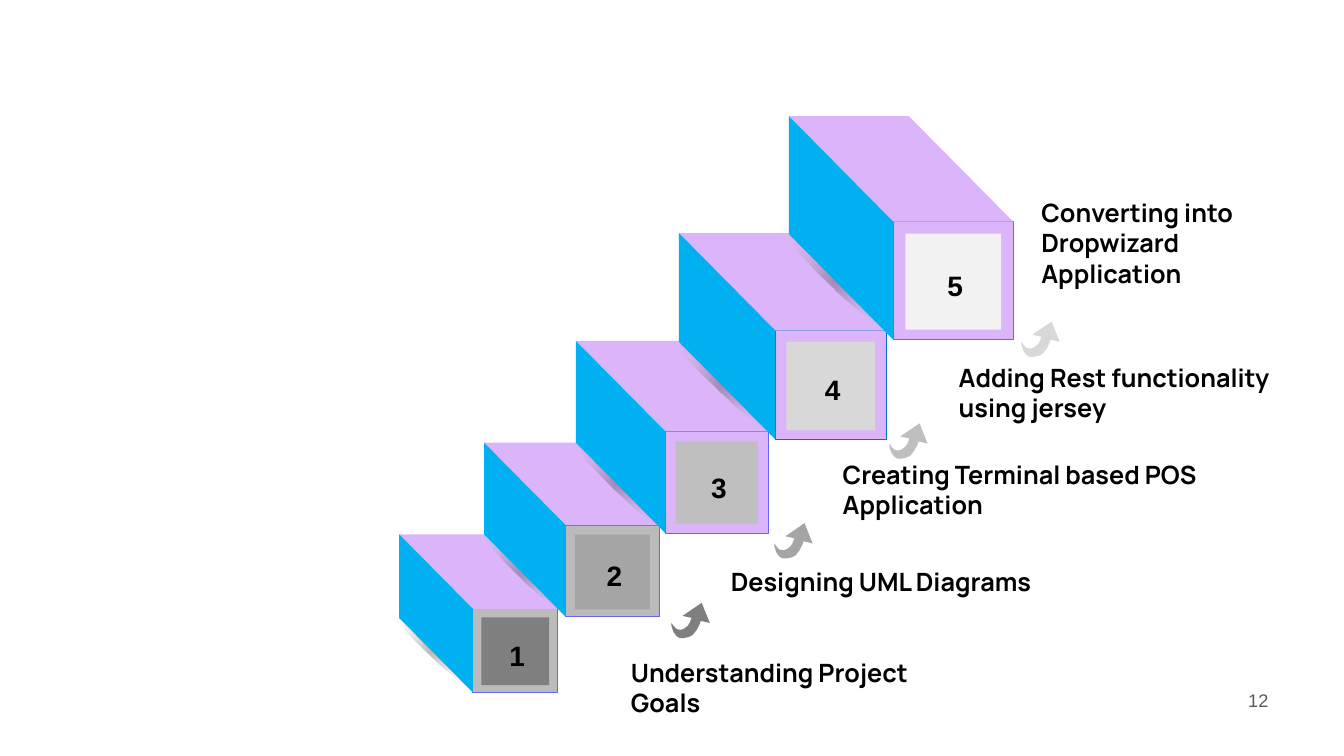
from dataclasses import dataclass

from lxml import etree
from pptx import Presentation
from pptx.dml.color import RGBColor
from pptx.enum import shapes, text
from pptx.oxml import parse_xml
from pptx.oxml.ns import nsdecls, qn
from pptx.util import Inches, Pt


@dataclass(frozen=True)
class Theme:
    top: str = "DCB4FA"
    side: str = "00B0F0"
    grey: str = "BBBBBB"
    edge: str = "6464FF"
    edge_dark: str = "0070C0"
    ink: str = "000000"
    muted: str = "595959"
    label_font: str = "Manrope"
    number_font: str = "Arial"
    label_size: int = 18
    number_size: int = 20
    page_size: int = 13


T = Theme()

# number, front left, top, width, height, front colour, edge colour, panel colour
STEPS = [
    ("1", 4.69, 6.04, 0.84, 0.83, T.grey, T.edge, "7F7F7F"),
    ("2", 5.61, 5.21, 0.93, 0.91, T.grey, T.edge, "A5A5A5"),
    ("3", 6.60, 4.28, 1.02, 1.01, T.top, T.edge, "BFBFBF"),
    ("4", 7.69, 3.28, 1.10, 1.08, T.top, T.edge_dark, "D8D8D8"),
    ("5", 8.86, 2.20, 1.19, 1.17, T.top, T.edge, "F2F2F2"),
]

# Each arrow takes the panel colour of the step it leaves
ARROWS = [(6.66, 5.98), (7.68, 5.19), (8.82, 4.20), (10.13, 3.19)]
ARROW_OUTLINE = [
    (0.30, 0), (0.38, 0.20), (0.29, 0.18), (0.28, 0.21), (0.25, 0.27),
    (0.21, 0.32), (0.17, 0.34), (0.12, 0.35), (0.08, 0.35), (0.05, 0.33),
    (0.02, 0.29), (0, 0.23), (0, 0.20), (0.02, 0.23), (0.05, 0.26),
    (0.09, 0.27), (0.12, 0.26), (0.16, 0.23), (0.18, 0.20), (0.20, 0.15),
    (0.11, 0.13),
]

LABELS = [
    ("Understanding Project Goals", 6.16, 6.47, 3.68, 0.71),
    ("Designing UML Diagrams", 7.15, 5.57, 3.57, 0.40),
    ("Creating Terminal based POS Application", 8.26, 4.51, 4.32, 1.01),
    ("Adding Rest functionality using jersey", 9.41, 3.54, 3.68, 1.01),
    ("Converting into Dropwizard Application", 10.23, 1.91, 2.59, 1.01),
]

SHADOW_FILL = f"""<a:gradFill {nsdecls('a')} rotWithShape="1"><a:gsLst>
<a:gs pos="0"><a:srgbClr val="474747"><a:alpha val="40000"/></a:srgbClr></a:gs>
<a:gs pos="100000"><a:srgbClr val="FFFFFF"><a:alpha val="0"/></a:srgbClr></a:gs>
</a:gsLst><a:path path="circle">
<a:fillToRect l="50000" t="50000" r="50000" b="50000"/></a:path></a:gradFill>"""


class StairSlide:
    def __init__(self, slide, theme):
        self.s = slide
        self.theme = theme

    def paint(self, sp, fill, line=None):
        sp.shadow.inherit = False
        sp.fill.solid()
        sp.fill.fore_color.rgb = RGBColor.from_string(fill)
        if line:
            sp.line.color.rgb = RGBColor.from_string(line)
            sp.line.width = Pt(0.75)
        else:
            sp.line.fill.background()
        return sp

    def shape(self, kind, x, y, w, h, fill, line=None):
        sp = self.s.shapes.add_shape(kind, Inches(x), Inches(y), Inches(w), Inches(h))
        return self.paint(sp, fill, line)

    def rect(self, *args):
        return self.shape(shapes.MSO_SHAPE.RECTANGLE, *args)

    def polygon(self, points, fill):
        start, *rest = [(Inches(x), Inches(y)) for x, y in points]
        builder = self.s.shapes.build_freeform(*start)
        builder.add_line_segments(rest, close=True)
        return self.paint(builder.convert_to_shape(), fill)

    def text(self, content, x, y, w, h, font, size, color, bold=True, align=None):
        sp = self.s.shapes.add_textbox(Inches(x), Inches(y), Inches(w), Inches(h))
        tf = sp.text_frame
        tf.word_wrap = True
        p = tf.paragraphs[0]
        p.text = content
        p.alignment = align
        p.font.name = font
        p.font.size = Pt(size)
        p.font.bold = bold
        p.font.color.rgb = RGBColor.from_string(color)
        return tf

    def shadow(self, cx, cy, w, h):
        """Soft ellipse lying along the lower edge of a block's side."""
        sp = self.shape(shapes.MSO_SHAPE.OVAL, cx - w / 2, cy - h / 2, w, h, "FFFFFF")
        sp.rotation = 43.7
        solid = sp._element.spPr.find(qn("a:solidFill"))
        solid.getparent().replace(solid, parse_xml(SHADOW_FILL))

    def step(self, number, x, y, w, h, front, edge, panel):
        """Block seen from the front right, with its depth going up and left."""
        back_x, back_y = x - 0.87 * w, y - 0.88 * w
        self.shadow((back_x + x) / 2 - 0.04 * w, (back_y + y) / 2 + h - 0.06 * w,
                    1.32 * w, 0.14 * w)
        self.rect(x, y, w, h, front, edge)
        self.polygon([(back_x, back_y), (back_x + w, back_y), (x + w, y), (x, y)],
                     self.theme.top)
        self.rect(x + 0.1 * w, y + 0.1 * w, 0.8 * w, 0.8 * w, panel)
        self.polygon([(back_x, back_y), (x, y), (x, y + h), (back_x, back_y + h)],
                     self.theme.side)
        self.text(number, x + w / 2 - 0.16, y + h / 2 - 0.17, 0.36, 0.44,
                  self.theme.number_font, self.theme.number_size, self.theme.ink,
                  align=text.PP_ALIGN.CENTER)

    def arrow(self, x, y, fill):
        self.polygon([(x + dx, y + dy) for dx, dy in ARROW_OUTLINE], fill)

    def label(self, content, *box):
        self.text(content, *box, self.theme.label_font, self.theme.label_size,
                  self.theme.ink)

    def page_number(self, number):
        tf = self.text(number, 12.28, 6.9, 0.3, 0.1, self.theme.number_font,
                       self.theme.page_size, self.theme.muted, bold=False,
                       align=text.PP_ALIGN.RIGHT)
        tf.margin_left = tf.margin_right = tf.margin_top = tf.margin_bottom = 0
        tf.vertical_anchor = text.MSO_ANCHOR.MIDDLE


def main():
    prs = Presentation()
    prs.slide_width, prs.slide_height = Inches(13.33), Inches(7.5)
    stairs = StairSlide(prs.slides.add_slide(prs.slide_layouts[6]), T)

    stairs.page_number("12")
    for step in STEPS:
        stairs.step(*step)
    for (x, y), step in zip(ARROWS, STEPS):
        stairs.arrow(x, y, step[-1])
    for label in LABELS:
        stairs.label(*label)

    prs.save("out.pptx")


if __name__ == "__main__":
    main()
